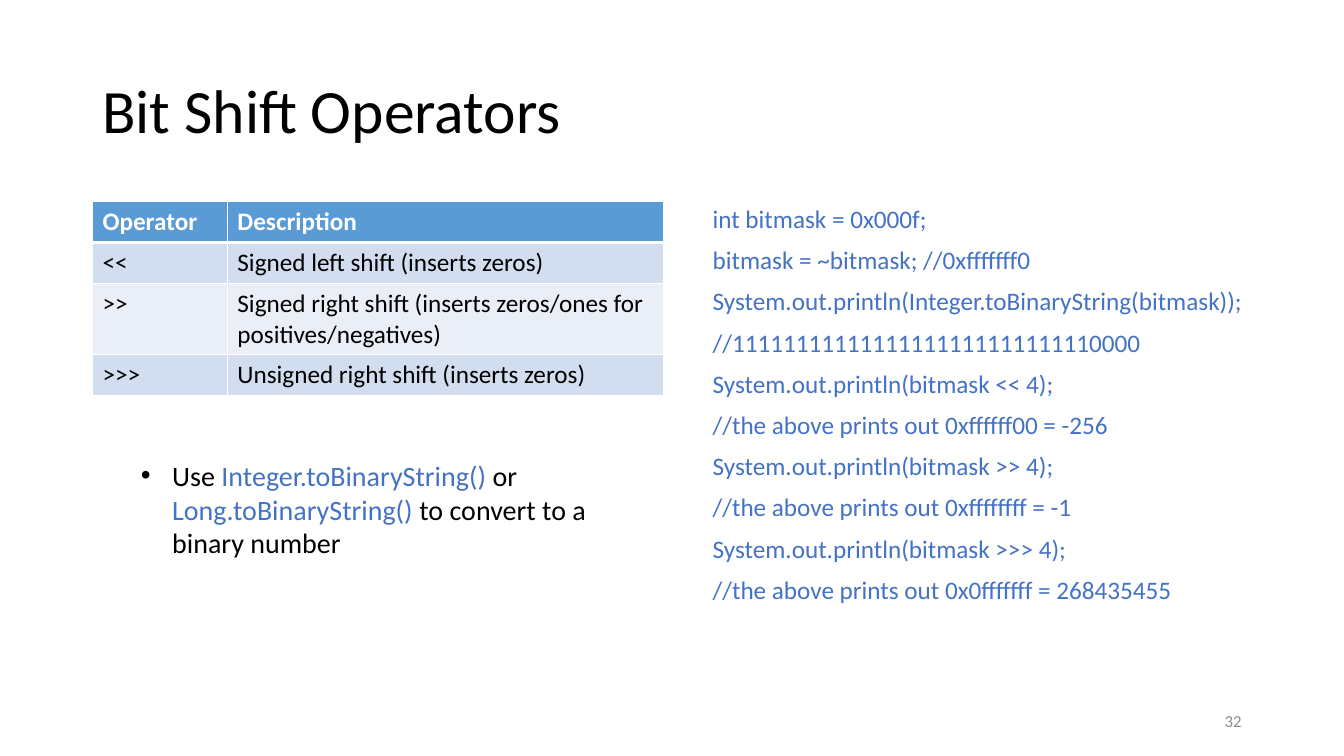
from lxml import etree
from pptx import Presentation
from pptx.dml.color import RGBColor
from pptx.enum import text
from pptx.oxml import ns
from pptx.util import Cm, Pt

BLACK = RGBColor(0x00, 0x00, 0x00)
WHITE = RGBColor(0xFF, 0xFF, 0xFF)
CODE_BLUE = RGBColor(0x44, 0x72, 0xC4)
HEADER_BLUE = RGBColor(0x5B, 0x9B, 0xD5)
BAND_DARK = RGBColor(0xD2, 0xDE, 0xEF)
BAND_LIGHT = RGBColor(0xEA, 0xEF, 0xF7)
NUMBER_GREY = RGBColor(0x8C, 0x8C, 0x8C)

OPERATORS = [
    ("Operator", "Description"),
    ("<<", "Signed left shift (inserts zeros)"),
    (">>", "Signed right shift (inserts zeros/ones for positives/negatives)"),
    (">>>", "Unsigned right shift (inserts zeros)"),
]
CODE = [
    "int bitmask = 0x000f;",
    "bitmask = ~bitmask; //0xfffffff0",
    "System.out.println(Integer.toBinaryString(bitmask));",
    "//11111111111111111111111111110000",
    "System.out.println(bitmask << 4);",
    "//the above prints out 0xffffff00 = -256",
    "System.out.println(bitmask >> 4);",
    "//the above prints out 0xffffffff = -1",
    "System.out.println(bitmask >>> 4);",
    "//the above prints out 0x0fffffff = 268435455",
]
TIP = [
    ("Use ", BLACK),
    ("Integer.toBinaryString()", CODE_BLUE),
    (" or ", BLACK),
    ("Long.toBinaryString()", CODE_BLUE),
    (" to convert to a binary number", BLACK),
]


def style(run, size, color, bold=False):
    run.font.name = "Calibri"
    run.font.size = Pt(size)
    run.font.color.rgb = color
    run.font.bold = bold


def add_frame(slide, box, anchor=text.MSO_ANCHOR.TOP):
    frame = slide.shapes.add_textbox(*map(Cm, box)).text_frame
    frame.word_wrap = True
    frame.vertical_anchor = anchor
    return frame


def set_indent(paragraph, margin, first_line=0):
    properties = paragraph._p.get_or_add_pPr()
    properties.set("marL", str(Cm(margin)))
    properties.set("indent", str(Cm(first_line)))
    return properties


def set_borders(cell, bottom_width):
    properties = cell._tc.get_or_add_tcPr()
    widths = {"a:lnL": 1, "a:lnR": 1, "a:lnT": 1, "a:lnB": bottom_width}
    for position, (tag, width) in enumerate(widths.items()):
        line = etree.Element(ns.qn(tag), w=str(Pt(width)))
        fill = etree.SubElement(line, ns.qn("a:solidFill"))
        etree.SubElement(fill, ns.qn("a:srgbClr"), val=str(WHITE))
        properties.insert(position, line)


def add_title(slide, box):
    heading = add_frame(slide, box, text.MSO_ANCHOR.MIDDLE)
    heading.text = "Bit Shift Operators"
    heading.paragraphs[0].line_spacing = 0.9
    style(heading.paragraphs[0].runs[0], 44, BLACK)


def add_operators(slide, box):
    operators = slide.shapes.add_table(len(OPERATORS), 2, *map(Cm, box)).table
    symbol_width, row_height = 3.4, 1.03
    operators.columns[0].width = Cm(symbol_width)
    operators.columns[1].width = Cm(box[2] - symbol_width)
    for row in operators.rows:
        row.height = Cm(row_height)
    operators.rows[2].height = Cm(box[3] - 3 * row_height)
    for r, entries in enumerate(OPERATORS):
        header = r == 0
        band = HEADER_BLUE if header else (BAND_LIGHT, BAND_DARK)[r % 2]
        for c, entry in enumerate(entries):
            cell = operators.cell(r, c)
            cell.text_frame.text = entry
            style(cell.text_frame.paragraphs[0].runs[0], 18, WHITE if header else BLACK, header)
            cell.fill.solid()
            cell.fill.fore_color.rgb = band
            set_borders(cell, 3 if header else 1)


def add_code(slide, box):
    code = add_frame(slide, box)
    code.text = "\n".join(CODE)
    for line in code.paragraphs:
        line.line_spacing = 0.9
        line.space_before = Pt(10)
        set_indent(line, 0.56)
        style(line.runs[0], 18, CODE_BLUE)


def add_tip(slide, box):
    tip = add_frame(slide, box).paragraphs[0]
    properties = set_indent(tip, 0.79, -0.79)
    etree.SubElement(properties, ns.qn("a:buFont"), typeface="Arial")
    etree.SubElement(properties, ns.qn("a:buChar"), char="•")
    for words, color in TIP:
        run = tip.add_run()
        run.text = words
        style(run, 20, color)


def add_page_number(slide, box):
    number = add_frame(slide, box, text.MSO_ANCHOR.MIDDLE)
    number.text = "32"
    number.paragraphs[0].alignment = text.PP_ALIGN.RIGHT
    style(number.paragraphs[0].runs[0], 12, NUMBER_GREY)


deck = Presentation()
deck.slide_width, deck.slide_height = Cm(33.87), Cm(19.05)
page = deck.slides.add_slide(deck.slide_layouts[6])
add_title(page, (2.33, 1.01, 29.21, 3.68))
add_operators(page, (2.33, 5.08, 14.4, 4.88))
add_code(page, (17.15, 5.08, 15.47, 12.09))
add_tip(page, (3.3, 11.43, 12.27, 2.82))
add_page_number(page, (23.92, 17.66, 7.62, 1.01))
deck.save("out.pptx")
